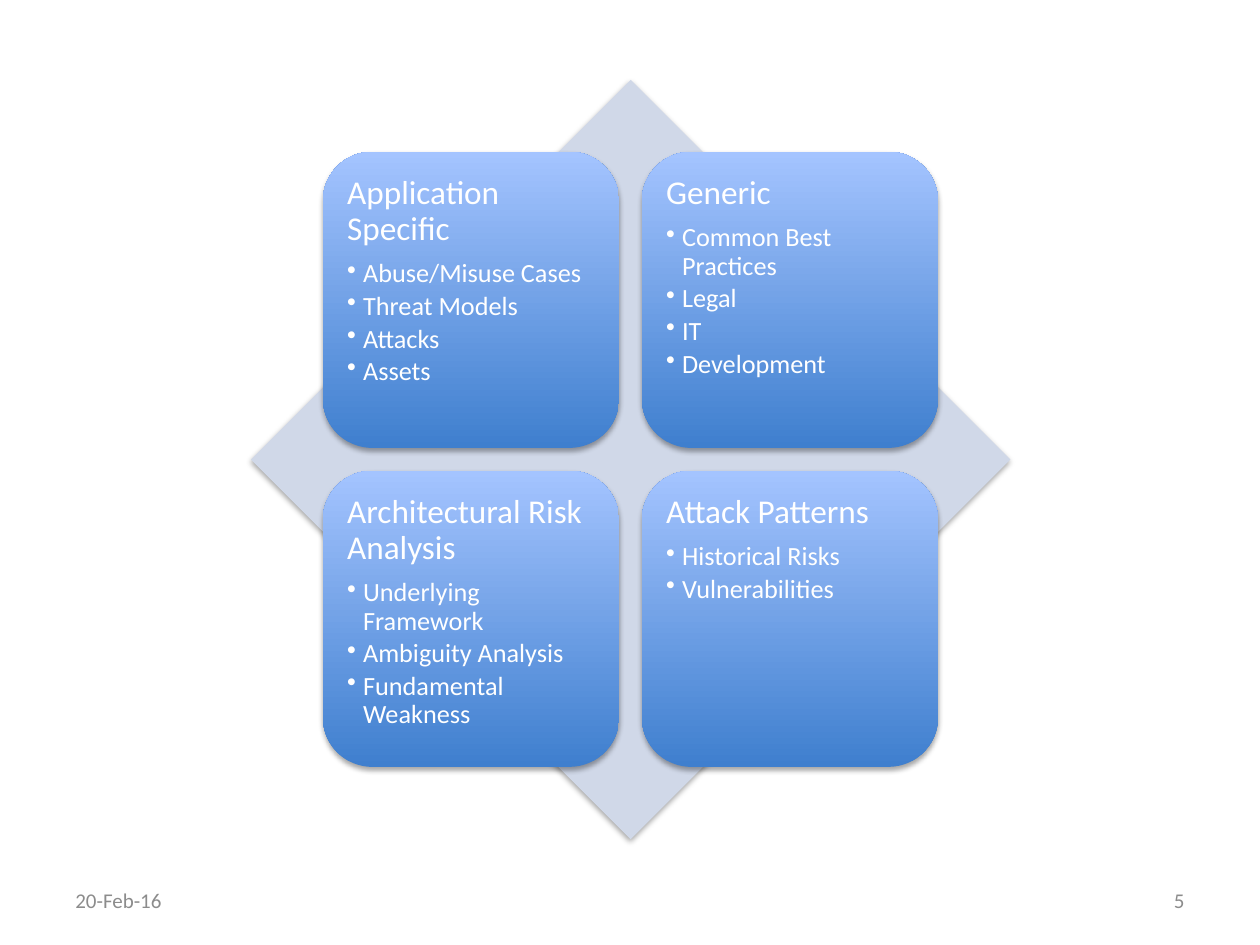
"""Build a slide with four risk cards laid over a diamond."""
from dataclasses import dataclass

from lxml import etree
from pptx import Presentation
from pptx.dml.color import RGBColor
from pptx.enum.shapes import MSO_SHAPE
from pptx.enum.text import MSO_ANCHOR, PP_ALIGN
from pptx.oxml import parse_xml
from pptx.oxml.ns import nsdecls, qn
from pptx.shapes.autoshape import Shape
from pptx.slide import Slide
from pptx.text.text import TextFrame
from pptx.util import Cm, Pt

DIAMOND = MSO_SHAPE.DIAMOND
ROUND_RECT = MSO_SHAPE.ROUNDED_RECTANGLE
TOP, MIDDLE = MSO_ANCHOR.TOP, MSO_ANCHOR.MIDDLE
LEFT, RIGHT = PP_ALIGN.LEFT, PP_ALIGN.RIGHT

FONT = "Calibri"
PALE = RGBColor(0xD0, 0xD8, 0xE8)
BLUE = RGBColor(0x3F, 0x7F, 0xCE)
LIGHT_BLUE = RGBColor(0xA4, 0xC4, 0xFF)
WHITE = RGBColor(0xFF, 0xFF, 0xFF)
GREY = RGBColor(0x8C, 0x8C, 0x8C)

DIAMOND_X, DIAMOND_Y, DIAMOND_SIZE = 5.06, 1.61, 15.31
CARD_INSET, CARD_SIZE, CARD_PITCH = 1.45, 5.97, 6.43
BULLET_INDENT = Cm(0.32)


@dataclass
class Card:
    title: str
    items: list[str]


@dataclass
class Footer:
    text: str
    x: float
    align: PP_ALIGN


CARDS = [
    Card("Application Specific", ["Abuse/Misuse Cases", "Threat Models", "Attacks", "Assets"]),
    Card("Generic", ["Common Best Practices", "Legal", "IT", "Development"]),
    Card("Architectural Risk Analysis",
         ["Underlying Framework", "Ambiguity Analysis", "Fundamental Weakness"]),
    Card("Attack Patterns", ["Historical Risks", "Vulnerabilities"]),
]
FOOTERS = [Footer("20-Feb-16", 1.27, LEFT), Footer("5", 18.2, RIGHT)]


def add_paragraph(tf: TextFrame, text: str, size: float, color: RGBColor,
                  align: PP_ALIGN = LEFT, first: bool = False):
    p = tf.paragraphs[0] if first else tf.add_paragraph()
    p.alignment = align
    r = p.add_run()
    r.text = text
    r.font.name = FONT
    r.font.size = Pt(size)
    r.font.color.rgb = color
    return p


def add_shadowed(s: Slide, kind: MSO_SHAPE, x: float, y: float, size: float) -> Shape:
    sp = s.shapes.add_shape(kind, Cm(x), Cm(y), Cm(size), Cm(size))
    sp.line.fill.background()
    sp.shadow.inherit = False
    effects = sp.element.spPr.find(qn("a:effectLst"))
    effects.append(parse_xml(
        f'<a:outerShdw {nsdecls("a")} blurRad="{Pt(3.1)}" dist="{Pt(1.8)}" dir="5400000" '
        'rotWithShape="0"><a:srgbClr val="000000"><a:alpha val="35000"/></a:srgbClr>'
        '</a:outerShdw>'))
    return sp


def add_card(s: Slide, card: Card, x: float, y: float) -> None:
    sp = add_shadowed(s, ROUND_RECT, x, y, CARD_SIZE)
    sp.fill.gradient()
    sp.fill.gradient_angle = 90
    for stop, color in zip(sp.fill.gradient_stops, (BLUE, LIGHT_BLUE)):
        stop.color.rgb = color
    tf = sp.text_frame
    tf.word_wrap = True
    tf.vertical_anchor = TOP
    tf.margin_left = tf.margin_right = tf.margin_top = tf.margin_bottom = Cm(0.2)
    p = add_paragraph(tf, card.title, 19, WHITE, first=True)
    p.line_spacing = 0.9
    p.space_after = Pt(7)
    for item in card.items:
        p = add_paragraph(tf, item, 15, WHITE)
        p.level = 1
        p.line_spacing = 0.9
        p.space_after = Pt(2.4)
        pPr = p._p.get_or_add_pPr()
        pPr.set("marL", str(BULLET_INDENT))
        pPr.set("indent", str(-BULLET_INDENT))
        etree.SubElement(pPr, qn("a:buChar")).set("char", "•")


def add_footer(s: Slide, footer: Footer) -> None:
    sp = s.shapes.add_textbox(Cm(footer.x), Cm(17.65), Cm(5.93), Cm(1.01))
    tf = sp.text_frame
    tf.word_wrap = True
    tf.vertical_anchor = MIDDLE
    add_paragraph(tf, footer.text, 12, GREY, footer.align, first=True)


def main() -> None:
    prs = Presentation()
    prs.slide_width, prs.slide_height = Cm(25.4), Cm(19.05)
    s = prs.slides.add_slide(prs.slide_layouts[6])
    diamond = add_shadowed(s, DIAMOND, DIAMOND_X, DIAMOND_Y, DIAMOND_SIZE)
    diamond.fill.solid()
    diamond.fill.fore_color.rgb = PALE
    for i, card in enumerate(CARDS):
        row, col = divmod(i, 2)
        add_card(s, card, DIAMOND_X + CARD_INSET + col * CARD_PITCH,
                 DIAMOND_Y + CARD_INSET + row * CARD_PITCH)
    for footer in FOOTERS:
        add_footer(s, footer)
    prs.save("out.pptx")


if __name__ == "__main__":
    main()
